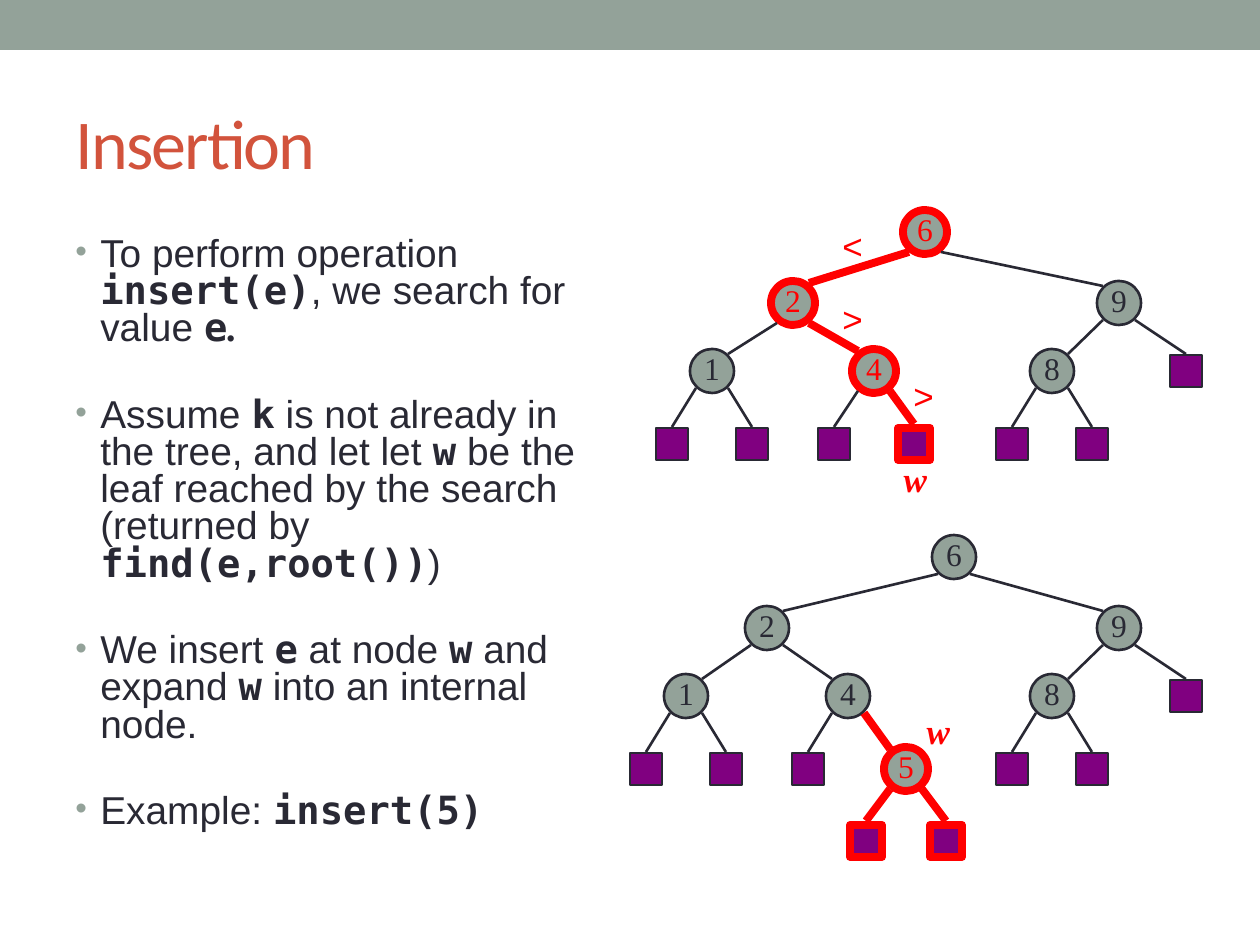
from pptx import Presentation
from pptx import util as u
from pptx.dml.color import RGBColor
from pptx.enum import shapes, text
from pptx.oxml.ns import qn
from lxml import etree

PX = 914400 // 126
SAGE, INK, RED, PURPLE, RUST = "93A299", "292934", "FF0000", "800080", "D2533C"
SERIF, MONO = "Times New Roman", "DejaVu Sans Mono"
ROWS = [22, 93, 161, 234, 306]
CIRCLE, SQUARE, ELBOW = 44, 32, 16


def px(n):
    """Turn picture pixels into EMU."""
    return u.Emu(round(n * PX))


def color(value):
    """Turn a hex string into a colour."""
    return RGBColor.from_string(value)


def style(font, name, size, hex_color, bold=False, italic=False):
    """Set the usual properties of a font."""
    font.name, font.size = name, u.Pt(size)
    font.color.rgb = color(hex_color)
    font.bold, font.italic = bold, italic


def add_shape(s, kind, x, y, w, h, fill, line=None, width=1.5):
    """Add a flat preset shape."""
    sp = s.shapes.add_shape(kind, px(x), px(y), px(w), px(h))
    sp.shadow.inherit = False
    sp.fill.solid()
    sp.fill.fore_color.rgb = color(fill)
    if line:
        sp.line.color.rgb = color(line)
        sp.line.width = u.Pt(width)
    else:
        sp.line.fill.background()
    return sp


def add_edge(s, x1, y1, x2, y2, red):
    """Add a tree edge."""
    c = s.shapes.add_connector(shapes.MSO_CONNECTOR.STRAIGHT, px(x1), px(y1), px(x2), px(y2))
    c.line.color.rgb = color(RED if red else INK)
    c.line.width = u.Pt(4.5 if red else 1.5)
    etree.SubElement(c._element.spPr, qn("a:effectLst"))


def add_title(s, x, y, w, h, words):
    """Add the slide title."""
    tf = s.shapes.add_textbox(px(x), px(y), px(w), px(h)).text_frame
    tf.word_wrap = True
    tf.vertical_anchor = text.MSO_ANCHOR.MIDDLE
    p = tf.paragraphs[0]
    r = p.add_run()
    r.text = words
    style(p.font, "Calibri", 40, RUST)
    r._r.get_or_add_rPr().set("spc", "-100")


def add_bullets(s, x, y, w, h, items):
    """Add the bullet list, with code between backticks and a serif part after a tilde."""
    tf = s.shapes.add_textbox(px(x), px(y), px(w), px(h)).text_frame
    tf.word_wrap = True
    for i, item in enumerate(items):
        p = tf.paragraphs[0] if i == 0 else tf.add_paragraph()
        p.line_spacing = 0.8
        p.space_before = u.Pt(28 if i else 2)
        pPr = p._p.get_or_add_pPr()
        pPr.set("marL", str(px(25)))
        pPr.set("indent", str(-px(25)))
        clr = etree.SubElement(pPr, qn("a:buClr"))
        etree.SubElement(clr, qn("a:srgbClr"), val=SAGE)
        etree.SubElement(pPr, qn("a:buSzPct"), val="85000")
        etree.SubElement(pPr, qn("a:buFont"), typeface="Arial")
        etree.SubElement(pPr, qn("a:buChar"), char="•")
        for j, part in enumerate(item.split("`")):
            if not part:
                continue
            serif = part.startswith("~")
            r = p.add_run()
            r.text = part.lstrip("~")
            name = SERIF if serif else MONO if j % 2 else "Arial"
            style(r.font, name, 22.2, INK, name != "Arial", serif)


def add_node(s, x, y, label, red):
    """Add a circle with a label, or a square leaf without one."""
    size = CIRCLE if label else SQUARE
    kind = shapes.MSO_SHAPE.OVAL if label else shapes.MSO_SHAPE.RECTANGLE
    sp = add_shape(s, kind, x - size / 2, y - size / 2, size, size,
                   SAGE if label else PURPLE, RED if red else INK, 4.5 if red else 1.5)
    if label:
        tf = sp.text_frame
        tf.word_wrap = False
        tf.margin_left = tf.margin_right = tf.margin_top = 0
        tf.margin_bottom = px(6)
        tf.vertical_anchor = text.MSO_ANCHOR.MIDDLE
        p = tf.paragraphs[0]
        p.text, p.alignment = label, text.PP_ALIGN.CENTER
        style(p.font, SERIF, 18, RED if red else INK)


def add_tree(s, x, top, node, depth=0):
    """Add a node centred on x and, below it, its subtrees with their edges."""
    label, red, kids = node
    y = top + ROWS[depth]
    add_node(s, x, y, label, red)
    for dx, kid in kids:
        kid_label, kid_red, _ = kid
        side = ELBOW if dx > 0 else -ELBOW
        kid_x, kid_y = x + dx, top + ROWS[depth + 1]
        add_tree(s, kid_x, top, kid, depth + 1)
        add_edge(s, x + side, y + (20 if red else 17),
                 kid_x - (side if kid_label else 0), kid_y - (20 if kid_red else 17), kid_red)


def add_mark(s, x, y, w, words, name, strong=False):
    """Add a red mark beside a tree."""
    tf = s.shapes.add_textbox(px(x), px(y), px(w), px(54)).text_frame
    tf.word_wrap = False
    p = tf.paragraphs[0]
    p.text, p.alignment = words, text.PP_ALIGN.CENTER
    style(p.font, name, 20, RED, strong, strong)


def inner(label, *kids, red=False, spread=40):
    """Describe an inner node whose two children stand evenly to its sides."""
    return label, red, list(zip((-spread, spread), kids))


def build_slide(prs):
    """Build the insertion slide."""
    s = prs.slides.add_slide(prs.slide_layouts[6])
    add_shape(s, shapes.MSO_SHAPE.RECTANGLE, 0, 0, 1260, 50, SAGE)
    add_title(s, 63, 73, 1134, 136, "Insertion")
    add_bullets(s, 63, 231, 557, 650, [
        "To perform operation `insert(e)`, we search for value `e`~.",
        "Assume `k` is not already in the tree, and let let `w` be the leaf reached "
        "by the search (returned by `find(e,root())`)",
        "We insert `e` at node `w` and expand `w` into an internal node.",
        "Example: `insert(5)`",
    ])
    leaf, red_leaf = ("", False, []), ("", True, [])
    one = inner("1", leaf, leaf)
    nine = inner("9", inner("8", leaf, leaf), leaf, spread=67)
    four = inner("4", leaf, red_leaf, red=True)
    two = inner("2", one, four, red=True, spread=81)
    add_tree(s, 925, 210, ("6", True, [(-132, two), (194, nine)]))
    five = inner("5", red_leaf, red_leaf, red=True)
    grown_four = ("4", False, [(-40, leaf), (58, five)])
    grown_two = inner("2", one, grown_four, spread=81)
    add_tree(s, 954, 535, ("6", False, [(-187, grown_two), (165, nine)]))
    for x, y, sign in [(830, 218, "<"), (830, 291, ">"), (901, 368, ">")]:
        add_mark(s, x, y, 44, sign, "Arial")
    for x, y in [(891, 451), (914, 703)]:
        add_mark(s, x, y, 49, "w", SERIF, True)


prs = Presentation()
prs.slide_width, prs.slide_height = px(1260), px(945)
build_slide(prs)
prs.save("out.pptx")
